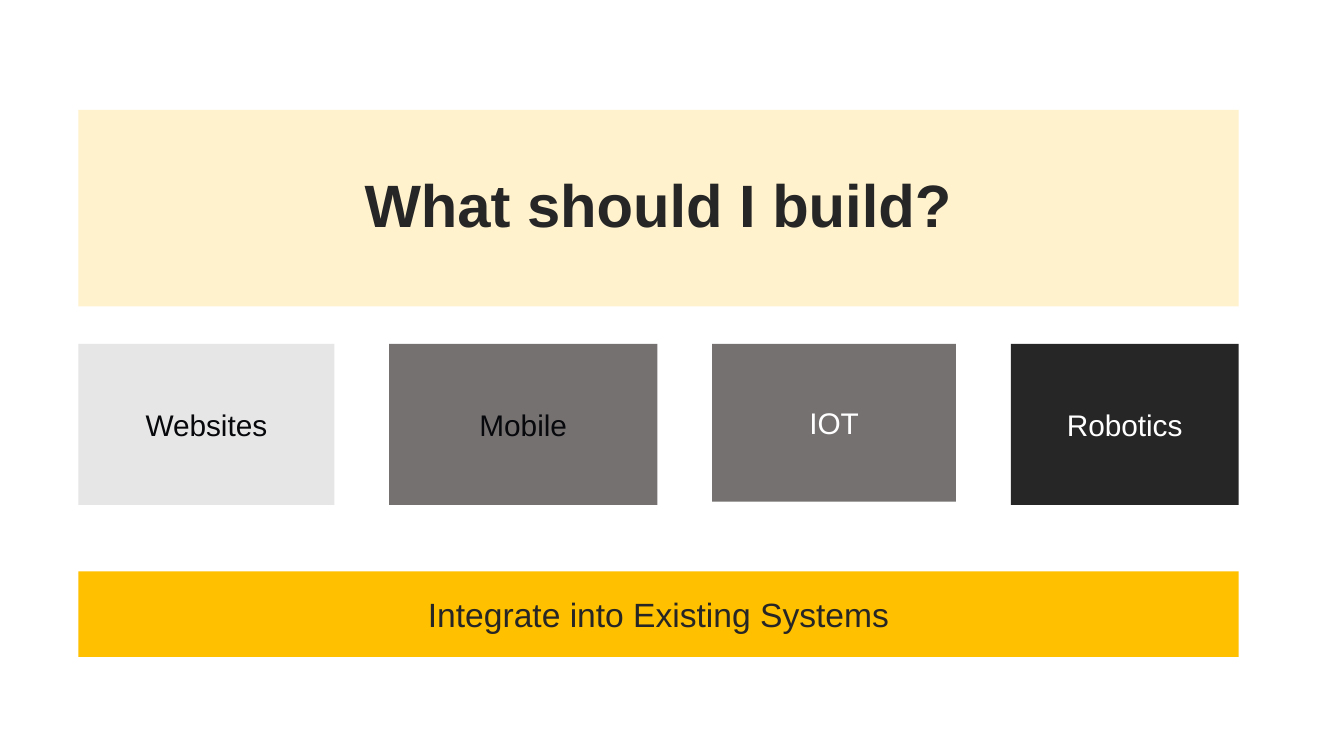
from dataclasses import dataclass

from pptx import Presentation
from pptx.dml.color import RGBColor
from pptx.enum import shapes, text
from pptx.util import Pt


@dataclass(frozen=True)
class Theme:
    font: str = "Arial"
    cream: str = "FFF2CC"
    gold: str = "FFC000"
    light: str = "E7E6E6"
    gray: str = "767171"
    dark: str = "262626"
    ink: str = "07080B"
    white: str = "FFFFFF"
    head: float = 42.7
    body: float = 21.3
    foot: float = 24


T = Theme()


def write(frame, words, size=T.body, color=T.dark, bold=False, lead=1.0):
    frame.word_wrap = True
    frame.vertical_anchor = text.MSO_ANCHOR.MIDDLE
    para = frame.paragraphs[0]
    para.alignment = text.PP_ALIGN.CENTER
    para.line_spacing = lead
    run = para.add_run()
    run.text = words
    font = run.font
    font.name = T.font
    font.size = Pt(size)
    font.bold = bold
    font.color.rgb = RGBColor.from_string(color)


def block(slide, box, fill, words, **style):
    rect = slide.shapes.add_shape(
        shapes.MSO_SHAPE.RECTANGLE, *(Pt(v) for v in box))
    rect.shadow.inherit = False
    rect.fill.solid()
    rect.fill.fore_color.rgb = RGBColor.from_string(fill)
    rect.line.fill.background()
    write(rect.text_frame, words, **style)


def title(slide, box):
    block(slide, box, T.cream, "What should I build?",
          size=T.head, bold=True, lead=0.9)


def cards(slide, box):
    items = [
        ("Websites", 182.9, 0, T.light, T.ink),
        ("Mobile", 191.5, 0, T.gray, T.ink),
        ("IOT", 174.2, 2.2, T.gray, T.white),
        ("Robotics", 162.7, 0, T.dark, T.white),
    ]
    left, top, width, height = box
    gap = (width - sum(item[1] for item in items)) / (len(items) - 1)
    for words, wide, trim, fill, color in items:
        block(slide, (left, top, wide, height - trim), fill, words, color=color)
        left += wide + gap


def footer(slide, box):
    block(slide, box, T.gold, "Integrate into Existing Systems", size=T.foot)


def main():
    deck = Presentation()
    deck.slide_width, deck.slide_height = Pt(960), Pt(540)
    slide = deck.slides.add_slide(deck.slide_layouts[6])
    left, width = 56, 828.7
    title(slide, (left, 78.4, width, 140.4))
    cards(slide, (left, 245.6, width, 115))
    footer(slide, (left, 408.2, width, 61))
    deck.save("out.pptx")


if __name__ == "__main__":
    main()
